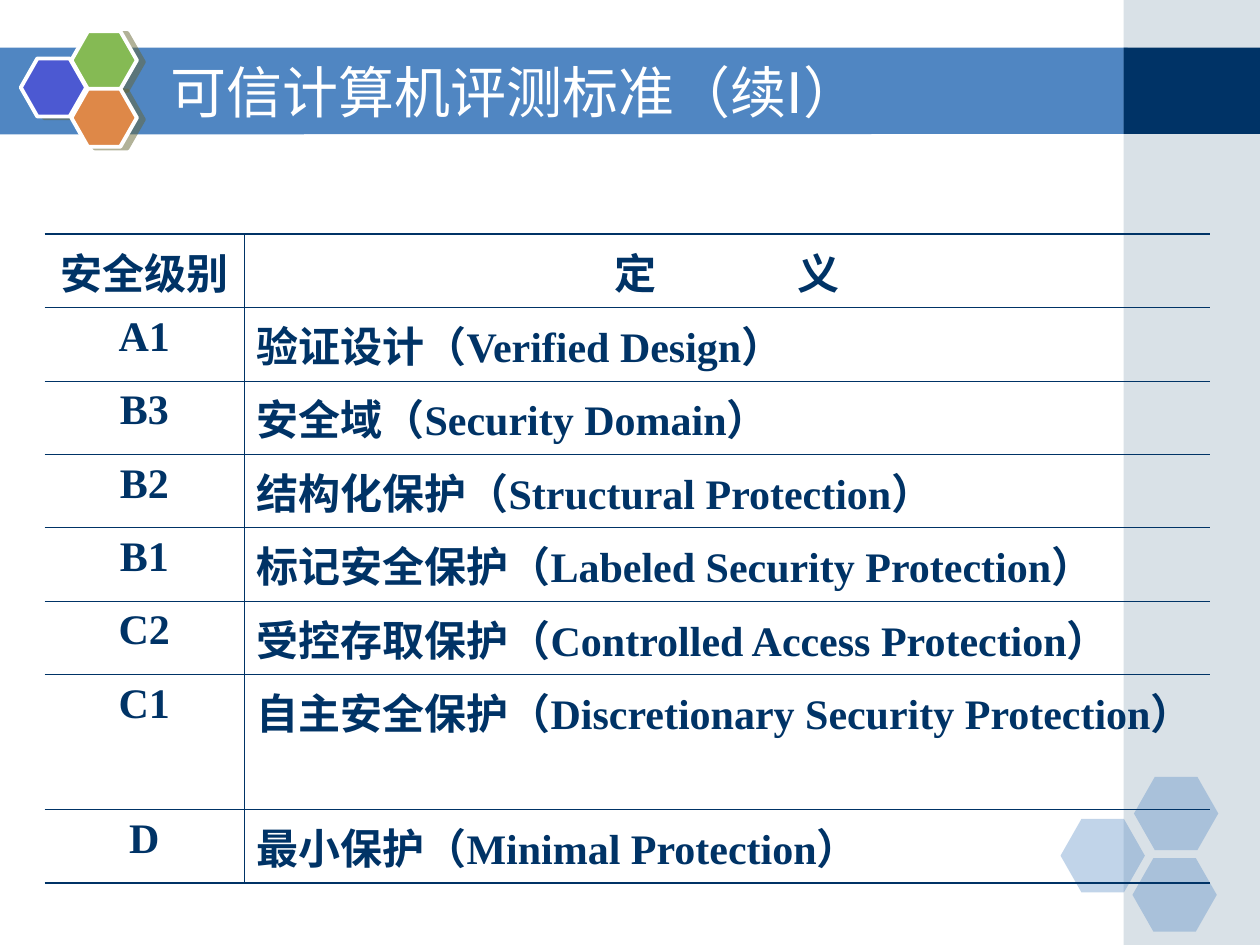
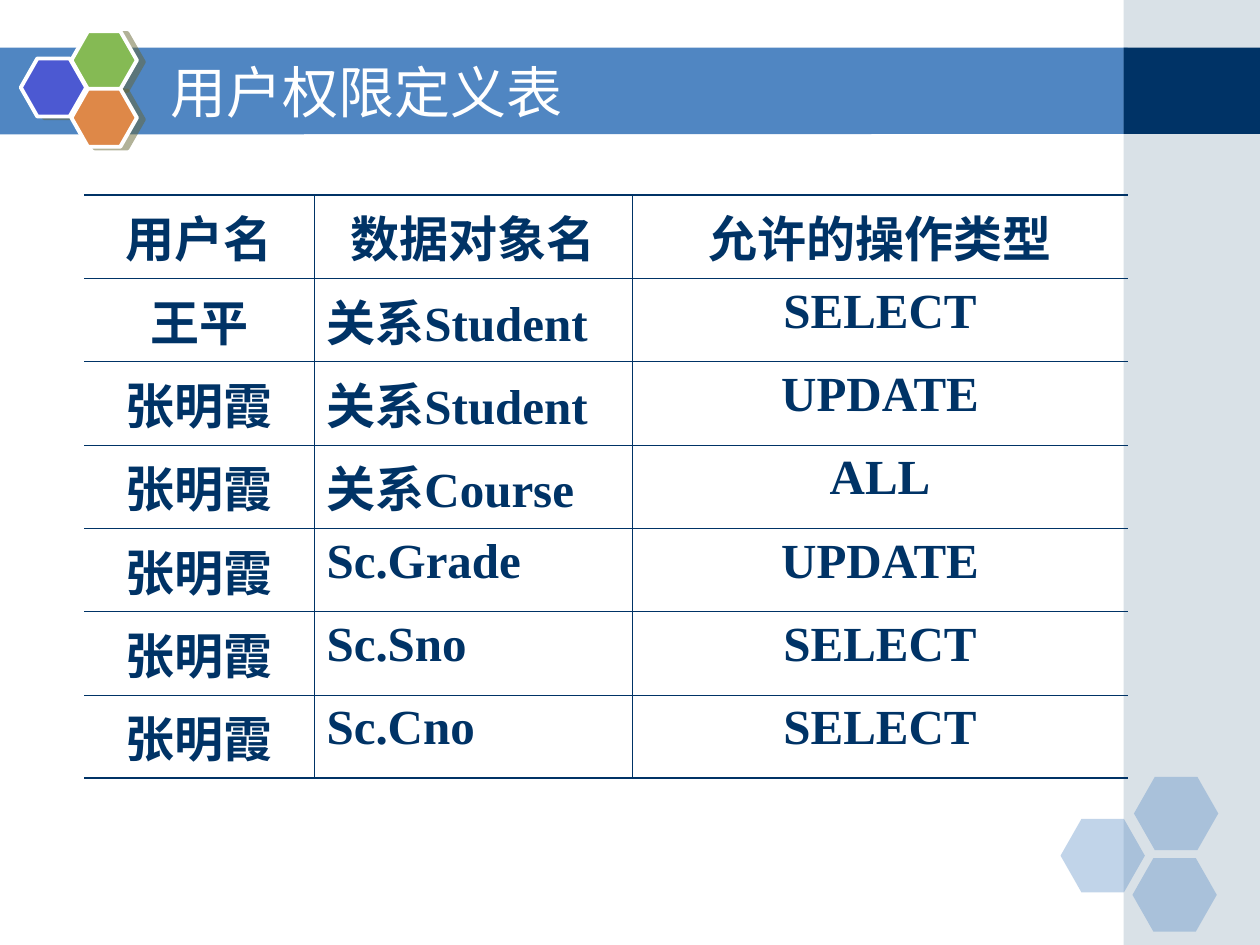
"""Build two slides on security levels and user permissions."""
from lxml import etree
from pptx import Presentation
from pptx.dml.color import RGBColor
from pptx.enum.shapes import MSO_SHAPE as Shape
from pptx.enum.text import MSO_ANCHOR as Anchor, PP_ALIGN as Align
from pptx.oxml.ns import qn
from pptx.util import Cm, Pt

TABLES = [
    {
        "title": "可信计算机评测标准（续I）",
        "at": (0.9, 4.72),
        "cols": (4.02, 19.47),
        "heights": [1.48] * 6 + [2.72, 1.48],
        "align": "cl",
        "size": 24,
        "rows": [
            ("安全级别", ("定", "义")),
            ("A1", "验证设计（Verified Design）"),
            ("B3", "安全域（Security Domain）"),
            ("B2", "结构化保护（Structural Protection）"),
            ("B1", "标记安全保护（Labeled Security Protection）"),
            ("C2", "受控存取保护（Controlled Access Protection）"),
            ("C1", "自主安全保护（Discretionary Security Protection）"),
            ("D", "最小保护（Minimal Protection）"),
        ],
    },
    {
        "title": "用户权限定义表",
        "at": (1.7, 3.93),
        "cols": (4.63, 6.42, 9.98),
        "heights": [1.68] * 7,
        "align": "clc",
        "size": 28,
        "rows": [
            ("用户名", "数据对象名", "允许的操作类型"),
            ("王平", "关系Student", "SELECT"),
            ("张明霞", "关系Student", "UPDATE"),
            ("张明霞", "关系Course", "ALL"),
            ("张明霞", "Sc.Grade", "UPDATE"),
            ("张明霞", "Sc.Sno", "SELECT"),
            ("张明霞", "Sc.Cno", "SELECT"),
        ],
    },
]

WIDTH, HEIGHT = 25.4, 19.05
WHITE = RGBColor(0xFF, 0xFF, 0xFF)
NAVY = RGBColor(0x00, 0x33, 0x66)
BLUE = RGBColor(0x50, 0x86, 0xC2)
GREY = RGBColor(0xA0, 0xB5, 0xC4)
INDIGO = RGBColor(0x4C, 0x59, 0xD2)
GREEN = RGBColor(0x85, 0xBA, 0x54)
ORANGE = RGBColor(0xDE, 0x88, 0x48)
SHADOW = RGBColor(0x66, 0x66, 0x33)

TITLE_FONT, TABLE_FONT = "DejaVu Sans", "Times New Roman"
THIN, THICK = 0.45, 1.08
HEADING_GAP = 81
ALIGNS = {"c": Align.CENTER, "l": Align.LEFT}

BAND = [(-0.02, 0.96), (22.73, 0.96), (22.73, 2.7), (-0.02, 2.71)]
STRIPE_LEFT, STRIPE_WIDTH = 22.65, 2.75
PALE_HEXAGONS = [(21.38, 16.51), (22.86, 15.66), (22.83, 17.3)]
BADGE_HEXAGONS = [(0.42, 1.18, INDIGO), (1.44, 0.63, GREEN), (1.44, 1.79, ORANGE)]


def add_child(parent, tag, **attrs):
    return etree.SubElement(parent, qn(tag), {k: str(v) for k, v in attrs.items()})


def add_color(parent, color, alpha=None):
    clr = add_child(parent, "a:srgbClr", val=color)
    if alpha is not None:
        add_child(clr, "a:alpha", val=alpha * 1000)


def write(tf, text, *, font, size, color, bold=False, align=Align.LEFT, before=0):
    """Write one paragraph; a tuple of words is set apart by wide spacing."""
    tf.word_wrap = True
    p = tf.paragraphs[0]
    p.alignment, p.space_before = align, Pt(before)
    words = (text,) if isinstance(text, str) else text
    for i, word in enumerate(words):
        r = p.add_run()
        r.text = word
        r.font.name, r.font.size, r.font.bold = font, Pt(size), bold
        r.font.color.rgb = color
        if i < len(words) - 1:
            r.font._element.set("spc", str(HEADING_GAP * 100))


def paint(sp, color, alpha=None):
    sp.shadow.inherit = False
    sp.fill.solid()
    sp.fill.fore_color.rgb = color
    sp.line.fill.background()
    if alpha is not None:
        clr = sp._element.spPr.find(f"{qn('a:solidFill')}/{qn('a:srgbClr')}")
        add_child(clr, "a:alpha", val=alpha * 1000)
    return sp


def add_preset(s, kind, box, color, alpha=None):
    return paint(s.shapes.add_shape(kind, *map(Cm, box)), color, alpha)


def add_hexagon(s, box, color, alpha=None):
    sp = add_preset(s, Shape.HEXAGON, box, color, alpha)
    sp.adjustments[0] = 0.285
    return sp


def add_badge_hexagon(s, left, top, color):
    sp = add_hexagon(s, (left, top, 1.32, 1.17), color)
    sp.line.color.rgb = WHITE
    sp.line.width = Pt(2.25)
    effects = sp._element.spPr.find(qn("a:effectLst"))
    shadow = add_child(effects, "a:outerShdw", blurRad=0, dist=Pt(4.1),
                       dir=14 * 60000, algn="ctr", rotWithShape=0)
    add_color(shadow, SHADOW, 50)


def add_frame(s, title):
    points = [(Cm(x), Cm(y)) for x, y in BAND]
    outline = s.shapes.build_freeform(*points[0])
    outline.add_line_segments(points[1:], close=True)
    paint(outline.convert_to_shape(), BLUE)
    add_preset(s, Shape.RECTANGLE, (STRIPE_LEFT, 0, STRIPE_WIDTH, HEIGHT), GREY, 40)
    add_preset(s, Shape.RECTANGLE, (STRIPE_LEFT, 0.96, STRIPE_WIDTH, 1.74), NAVY)
    for left, top in PALE_HEXAGONS:
        add_hexagon(s, (left, top, 1.7, 1.48), BLUE, 35)
    for left, top, color in BADGE_HEXAGONS:
        add_badge_hexagon(s, left, top, color)
    tf = s.shapes.add_textbox(Cm(3.18), Cm(1.05), Cm(18.62), Cm(1.57)).text_frame
    tf.vertical_anchor = Anchor.MIDDLE
    write(tf, title, font=TITLE_FONT, size=32, color=WHITE)


def set_borders(cell, widths):
    tc_pr = cell._tc.get_or_add_tcPr()
    for side, width in zip("LRTB", widths):
        if width:
            ln = add_child(tc_pr, f"a:ln{side}", w=Pt(width))
            add_color(add_child(ln, "a:solidFill"), NAVY)
        else:
            add_child(add_child(tc_pr, f"a:ln{side}", w=0), "a:noFill")


def add_grid(s, at, cols, heights, align, size, rows):
    box = (*at, sum(cols), sum(heights))
    table = s.shapes.add_table(len(rows), len(cols), *map(Cm, box)).table
    table.first_row = table.horz_banding = False
    for column, width in zip(table.columns, cols):
        column.width = Cm(width)
    for row, height in zip(table.rows, heights):
        row.height = Cm(height)
    last_row, last_col = len(rows) - 1, len(cols) - 1
    for i, row in enumerate(rows):
        for j, text in enumerate(row):
            cell = table.cell(i, j)
            set_borders(cell, (THIN if j > 0 else 0,
                               THIN if j < last_col else 0,
                               THIN if i > 0 else THICK,
                               THIN if i < last_row else THICK))
            cell.fill.background()
            write(cell.text_frame, text, font=TABLE_FONT, size=size, color=NAVY,
                  bold=True, before=size // 4,
                  align=ALIGNS[align[j] if i else "c"])


def main():
    prs = Presentation()
    prs.slide_width, prs.slide_height = Cm(WIDTH), Cm(HEIGHT)
    for content in TABLES:
        s = prs.slides.add_slide(prs.slide_layouts[6])
        grid = dict(content)
        add_frame(s, grid.pop("title"))
        add_grid(s, **grid)
    prs.save("out.pptx")


if __name__ == "__main__":
    main()
